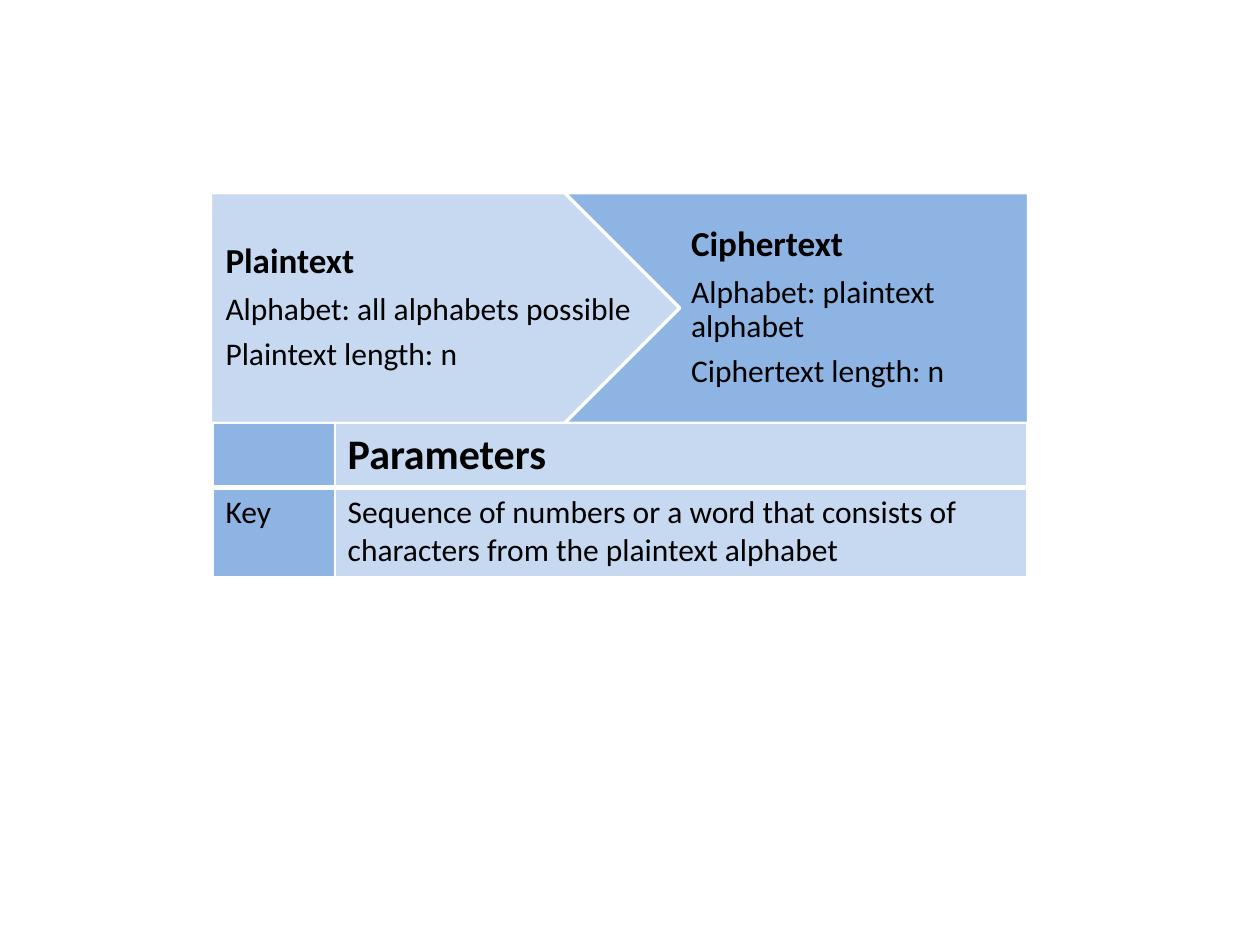
import pptx
import pptx.util
import pptx.dml.color
import pptx.enum.shapes
import pptx.enum.text
import pptx.oxml.ns
import lxml.etree

Inches = pptx.util.Inches
Pt = pptx.util.Pt
RGBColor = pptx.dml.color.RGBColor
SHAPE = pptx.enum.shapes.MSO_SHAPE
LIGHT = RGBColor(0xC6, 0xD9, 0xF1)
MEDIUM = RGBColor(0x8E, 0xB4, 0xE3)
WHITE = RGBColor(0xFF, 0xFF, 0xFF)
BLACK = RGBColor(0, 0, 0)

deck = pptx.Presentation()
deck.slide_width, deck.slide_height = Inches(10), Inches(7.5)
slide = deck.slides.add_slide(deck.slide_layouts[6])


def add_block(kind, left, top, width, height, fill):
    block = slide.shapes.add_shape(kind, Inches(left), Inches(top), Inches(width), Inches(height))
    block.shadow.inherit = False
    block.fill.solid()
    block.fill.fore_color.rgb = fill
    return block


def add_text(paragraph, text, size, bold):
    run = paragraph.add_run()
    run.text = text
    run.font.name = "Calibri"
    run.font.size = Pt(size)
    run.font.bold = bold
    run.font.color.rgb = BLACK


stages = [
    (SHAPE.PENTAGON, 1.67, 3.94, LIGHT, 0.12,
     ["Plaintext", "Alphabet: all alphabets possible", "Plaintext length: n"]),
    (SHAPE.CHEVRON, 4.48, 4.61, MEDIUM, 0.09,
     ["Ciphertext", "Alphabet: plaintext alphabet", "Ciphertext length: n"]),
]
for kind, left, width, fill, inset, lines in stages:
    stage = add_block(kind, left, 1.53, width, 1.83, fill)
    stage.adjustments[0] = 0.5
    stage.line.color.rgb = WHITE
    stage.line.width = Pt(2)
    frame = stage.text_frame
    frame.word_wrap = True
    frame.vertical_anchor = pptx.enum.text.MSO_ANCHOR.MIDDLE
    frame.margin_left, frame.margin_right = Inches(inset), Inches(0.03)
    frame.margin_top = frame.margin_bottom = Inches(0.06)
    for index, line in enumerate(lines):
        heading = index == 0
        paragraph = frame.paragraphs[0] if heading else frame.add_paragraph()
        paragraph.alignment = pptx.enum.text.PP_ALIGN.LEFT
        paragraph.line_spacing = 0.9
        paragraph.space_after = Pt(7 if heading else 6.3)
        add_text(paragraph, line, 20 if heading else 18, heading)

chevron_end = add_block(SHAPE.RECTANGLE, 8.15, 1.15, 0.94, 2.44, WHITE)
chevron_end.line.fill.background()

parameters_frame = slide.shapes.add_table(2, 2, Inches(1.69), Inches(3.36), Inches(6.46), Inches(1.28))
parameters = parameters_frame.table
parameters.first_row = parameters.horz_banding = False
for column, width in zip(parameters.columns, (0.97, 5.49)):
    column.width = Inches(width)
for row, height in zip(parameters.rows, (0.47, 0.41)):
    row.height = Inches(height)
parameters_frame.height = Inches(1.28)

entries = [
    ["", "Parameters"],
    ["Key", "Sequence of numbers or a word that consists of characters from the plaintext alphabet"],
]
for row, texts in enumerate(entries):
    header = row == 0
    for column, text in enumerate(texts):
        cell = parameters.cell(row, column)
        if text:
            add_text(cell.text_frame.paragraphs[0], text, 24 if header else 18, header)
        properties = cell._tc.get_or_add_tcPr()
        for edge in ("lnL", "lnR", "lnT", "lnB"):
            below_header = edge == ("lnB" if header else "lnT")
            border = lxml.etree.SubElement(properties, pptx.oxml.ns.qn("a:" + edge),
                                           w=str(Pt(3 if below_header else 0.96)))
            solid = lxml.etree.SubElement(border, pptx.oxml.ns.qn("a:solidFill"))
            lxml.etree.SubElement(solid, pptx.oxml.ns.qn("a:srgbClr"), val=str(WHITE))
        cell.fill.solid()
        cell.fill.fore_color.rgb = LIGHT if column else MEDIUM

deck.save("out.pptx")
